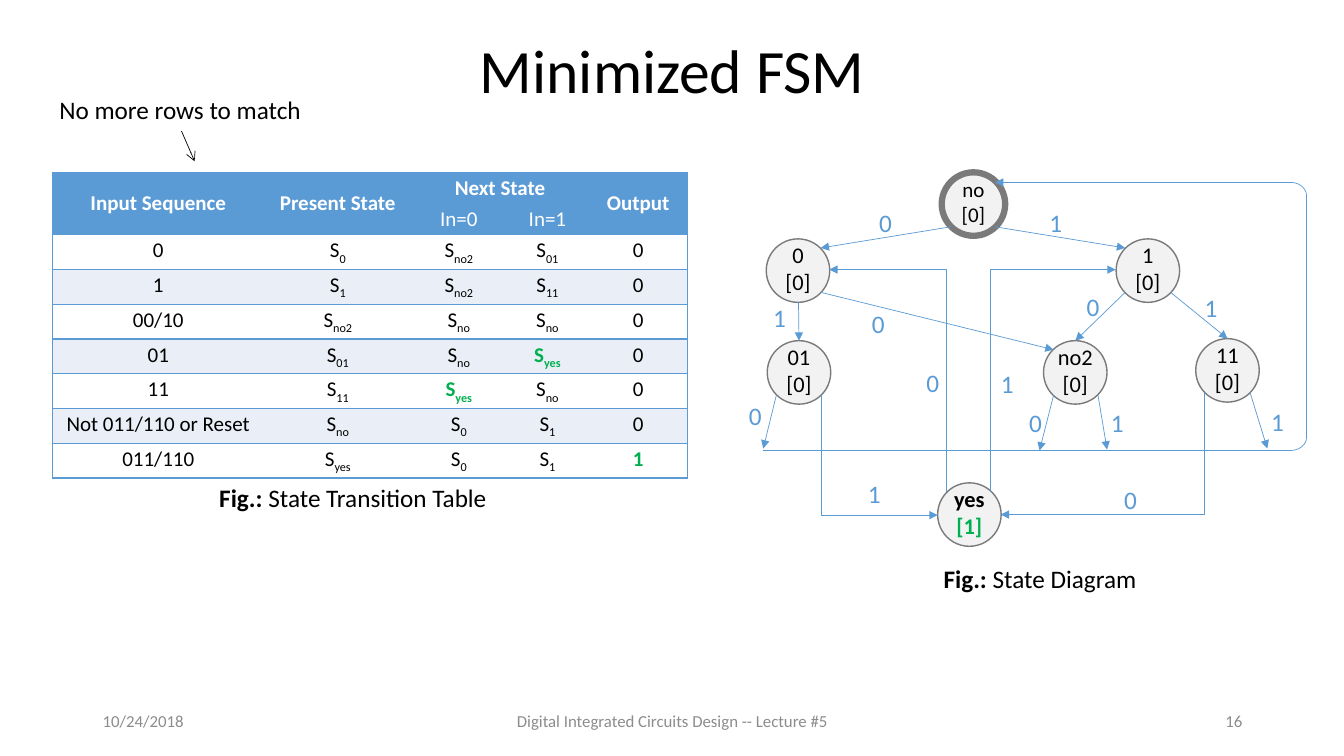
from pptx import Presentation, util as u
from pptx.dml.color import RGBColor
from pptx.enum import shapes, text
from pptx.oxml import parse_xml
from pptx.oxml.ns import nsdecls, qn

PX = 9144  # EMU per px, 100 px to the inch
FONT = "Calibri"
COLORS = {"blue": "5B9BD5", "band": "EAEFF7", "white": "FFFFFF", "black": "000000",
          "green": "00B050", "grey": "8C8C8C", "state": "F2F2F2", "rim": "7A7A7A"}

# Content: "_" starts a subscript, "*" marks a green bold entry
TITLE = "Minimized FSM"
FOOTERS = [("10/24/2018", 92, 300, "LEFT"),
           ("Digital Integrated Circuits Design -- Lecture #5", 442, 450, "CENTER"),
           ("16", 942, 300, "RIGHT")]
NOTE = ("No more rows to match", (49, 89, 262, 40))
CAPTIONS = [("State Transition Table", (206, 474, 288, 40)),
            ("State Diagram", (925, 554, 213, 40))]
COLUMNS = [210, 146, 94, 82, 98]
ROWS = [
    ["Input Sequence", "Present State", "Next State", "", "Output"],
    ["", "", "In=0", "In=1", ""],
    ["0", "S_0", "S_no2", "S_01", "0"],
    ["1", "S_1", "S_no2", "S_11", "0"],
    ["00/10", "S_no2", "S_no", "S_no", "0"],
    ["01", "S_01", "S_no", "*S_yes", "0"],
    ["11", "S_11", "*S_yes", "S_no", "0"],
    ["Not 011/110 or Reset", "S_no", "S_0", "S_1", "0"],
    ["011/110", "S_yes", "S_0", "S_1", "*1"],
]
MERGES = [((0, 0), (1, 0)), ((0, 1), (1, 1)), ((0, 2), (0, 3)), ((0, 4), (1, 4))]
STATES = {"no": (934, 171), "0": (760, 237), "1": (1107, 237), "01": (761, 338),
          "no2": (1035, 338), "11": (1186, 336), "yes": (930, 479)}
STATE_SIZE = 63
# Straight arrows: start, then an end point or the state whose top is reached
ARROWS = [((943, 225), (814, 246)), ((987, 225), (1116, 246)),
          ((792, 300), "01"), ((1116, 290), "no2"), ((1161, 290), "11"),
          ((814, 290), (1045, 347)), ((770, 392), (757, 445)),
          ((1045, 392), (1031, 447)), ((1089, 392), (1098, 446)),
          ((1240, 390), (1257, 445)), ((1280, 181), (987, 181))]
RETURN_LINE = ((757, 447), (1280, 447))
RETURN_BRACKET = (1280, 181, 16, 266)
BENDS = [((1195, 390), (993, 511)), ((815, 392), (930, 511)),
         ((939, 489), (823, 268)), ((983, 489), (1107, 268))]
# Bend turned by (goes down, goes right): rotation, flips
TURNS = {(True, False): (90, ""), (True, True): (270, "H"),
         (False, False): (270, "V"), (False, True): (90, "HV")}
INPUTS = {"0": [(862, 201), (1068, 284), (1011, 399), (1105, 476), (733, 392),
                (909, 359), (855, 301)],
          "1": [(1031, 201), (1185, 285), (1092, 399), (1251, 398), (757, 295),
                (851, 470), (983, 360)]}


def rgb(name):
    return RGBColor.from_string(COLORS[name])


def px(*lengths):
    return [u.Emu(n * PX) for n in lengths]


def write(tf, *lines, size=18, color="black", bold=False, align="LEFT", anchor="TOP",
          ins=(10, 5, 10, 5), wrap=True):
    """Each line is a list of (text, overrides); overrides: color, bold, sub."""
    tf.word_wrap = wrap
    tf.vertical_anchor = text.MSO_ANCHOR[anchor]
    tf.margin_left, tf.margin_top, tf.margin_right, tf.margin_bottom = px(*ins)
    for i, line in enumerate(lines):
        p = tf.paragraphs[0] if i == 0 else tf.add_paragraph()
        p.alignment = text.PP_ALIGN[align]
        for words, own in line:
            r = p.add_run()
            r.text = words
            r.font.name, r.font.size = FONT, u.Pt(size)
            r.font.bold = own.get("bold", bold)
            r.font.color.rgb = rgb(own.get("color", color))
            if own.get("sub"):
                r._r.get_or_add_rPr().set("baseline", "-25000")


def text_box(box, line, **fmt):
    write(s.shapes.add_textbox(*px(*box)).text_frame, line, **fmt)


def connector(start, end, color="blue", head="triangle", kind="STRAIGHT"):
    c = s.shapes.add_connector(shapes.MSO_CONNECTOR[kind], *px(*start, *end))
    c.line.color.rgb, c.line.width = rgb(color), u.Pt(0.5)
    if head:
        c.line._get_or_add_ln().append(
            parse_xml(f'<a:tailEnd {nsdecls("a")} type="{head}"/>'))
    c.element.spPr.append(parse_xml(f'<a:effectLst {nsdecls("a")}/>'))
    return c


def bend(start, end):
    """Vertical first, then horizontal."""
    c = connector(start, end, kind="ELBOW")
    (x1, y1), (x2, y2) = start, end
    w, h = abs(x2 - x1), abs(y2 - y1)
    c.element.spPr.find(qn("a:prstGeom")).set("prst", "bentConnector2")
    c.left, c.top, c.width, c.height = px(
        (x1 + x2 - h) // 2, (y1 + y2 - w) // 2, h, w)
    rotation, flips = TURNS[y2 > y1, x2 > x1]
    xfrm = c.element.spPr.find(qn("a:xfrm"))
    xfrm.set("rot", str(rotation * 60000))
    for axis in "HV":
        xfrm.set("flip" + axis, str(int(axis in flips)))


prs = Presentation()
prs.slide_width, prs.slide_height = px(1333, 750)
s = prs.slides.add_slide(prs.slide_layouts[5])

# Title and footers
title = s.shapes.title
title.left, title.top, title.width, title.height = px(92, 33, 1150, 79)
write(title.text_frame, [(TITLE, {})], size=44, align="CENTER", anchor="MIDDLE")
title.text_frame.auto_size = text.MSO_AUTO_SIZE.NONE
title.text_frame.paragraphs[0].line_spacing = 0.9
for words, x, w, align in FOOTERS:
    text_box((x, 695, w, 40), [(words, {})], size=12, color="grey", align=align,
             anchor="MIDDLE")

# State transition table
frame = s.shapes.add_table(len(ROWS), len(COLUMNS), *px(52, 171, sum(COLUMNS), 31 * len(ROWS)))
table = frame.table
table.first_row = table.horz_banding = False
table._tbl.tblPr[0].text = "{2D5ABB26-0587-4C30-8999-92F81FD0307C}"  # no style, no grid
for column, w in zip(table.columns, COLUMNS):
    column.width = u.Emu(w * PX)
for row in table.rows:
    row.height = u.Emu(31 * PX)
for first, last in MERGES:
    table.cell(*first).merge(table.cell(*last))
for i, row in enumerate(ROWS):
    header = i < 2
    for j, entry in enumerate(row):
        cell = table.cell(i, j)
        sides = "L" * (j == 0) + "R" * (j == len(row) - 1) + "TB"
        for side in sides:
            cell._tc.get_or_add_tcPr().append(parse_xml(
                f'<a:ln{side} {nsdecls("a")} w="12700"><a:solidFill>'
                f'<a:srgbClr val="{COLORS["blue"]}"/></a:solidFill></a:ln{side}>'))
        cell.fill.solid()
        cell.fill.fore_color.rgb = rgb("blue" if header else "band" if i % 2 else "white")
        cell.vertical_anchor = text.MSO_ANCHOR.MIDDLE if header else text.MSO_ANCHOR.TOP
        cell.margin_left, cell.margin_top, cell.margin_right, cell.margin_bottom = px(2, 3, 2, 3)
        if entry:
            marked = entry.startswith("*")
            parts = entry.lstrip("*").split("_")
            p = cell.text_frame
            p.paragraphs[0].alignment = text.PP_ALIGN.CENTER
            for k, part in enumerate(parts):
                r = p.paragraphs[0].add_run()
                r.text = part
                r.font.name, r.font.size, r.font.bold = FONT, u.Pt(15), marked or i == 0
                r.font.color.rgb = rgb("white" if header else "green" if marked else "black")
                if k:
                    r._r.get_or_add_rPr().set("baseline", "-25000")

# States
circles = {}
for name, (x, y) in STATES.items():
    sp = s.shapes.add_shape(shapes.MSO_SHAPE.OVAL, *px(x, y, STATE_SIZE, STATE_SIZE))
    sp.shadow.inherit = False
    sp.fill.solid()
    sp.fill.fore_color.rgb = rgb("state")
    sp.line.color.rgb = rgb("rim")
    sp.line.width = u.Pt(4.5 if name == "no" else 1)
    final = name == "yes"
    output = ("[1]", {"color": "green"}) if final else ("[0]", {})
    write(sp.text_frame, [(name, {})], [output], size=15 if name == "no" else 16, bold=final,
          align="CENTER", anchor="MIDDLE", ins=(0, 0, 0, 5))
    circles[name] = sp

# Transitions
for start, end in ARROWS:
    if end in circles:
        connector(start, STATES[end]).end_connect(circles[end], 0)
    else:
        connector(start, end)
for start, end in BENDS:
    bend(start, end)
connector(*RETURN_LINE, head=None)
bracket = s.shapes.add_shape(shapes.MSO_SHAPE.LEFT_BRACKET, *px(*RETURN_BRACKET))
bracket.adjustments[0] = 0.83
bracket.element.spPr.find(qn("a:xfrm")).set("flipH", "1")
bracket.shadow.inherit = False
bracket.fill.background()
bracket.line.color.rgb, bracket.line.width = rgb("blue"), u.Pt(0.5)
for digit, places in INPUTS.items():
    for x, y in places:
        text_box((x, y, 23, 28), [(digit, {})], color="blue", ins=(10, 5, 0, 0), wrap=False)

# Captions and note
for words, box in CAPTIONS:
    text_box(box, [("Fig.: ", {"bold": True}), (words, {})], align="CENTER", wrap=False)
text_box(NOTE[1], [(NOTE[0], {})], wrap=False)
connector((180, 130), (193, 160), color="black", head="arrow")

prs.save("out.pptx")
